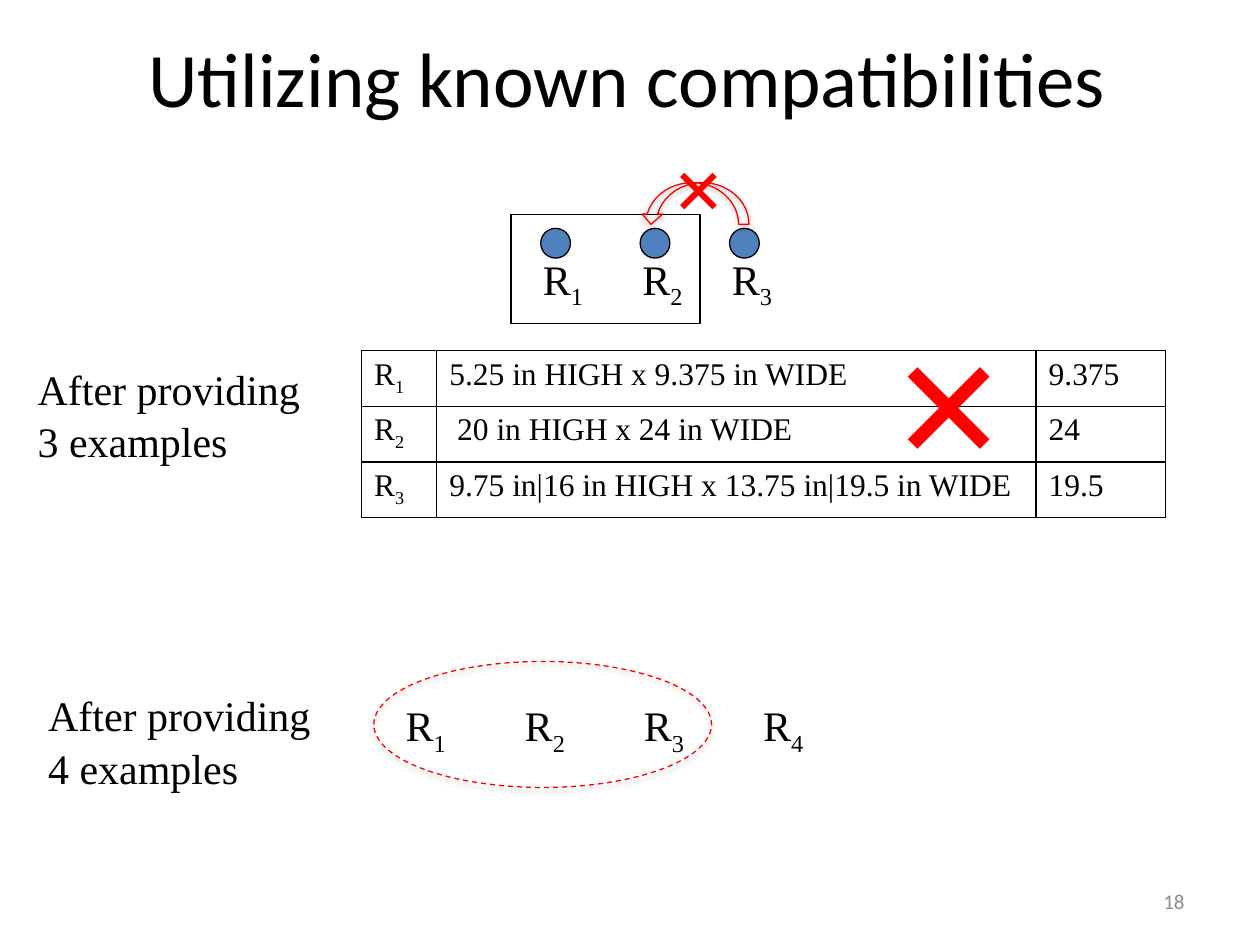
from lxml.etree import SubElement
from pptx import Presentation
from pptx.dml.color import RGBColor
from pptx.enum.dml import MSO_LINE
from pptx.enum.shapes import MSO_SHAPE
from pptx.enum.text import MSO_ANCHOR, PP_ALIGN
from pptx.oxml import parse_xml
from pptx.oxml.ns import nsdecls, qn
from pptx.util import Pt

BLACK = RGBColor(0x00, 0x00, 0x00)
RED = RGBColor(0xFF, 0x00, 0x00)
BLUE = RGBColor(0x4F, 0x81, 0xBD)
GRAY = RGBColor(0x8C, 0x8C, 0x8C)
SERIF = "Times New Roman"
SANS = "Calibri"

EXAMPLES = [
    ("5.25 in HIGH x 9.375 in WIDE", "9.375"),
    (" 20 in HIGH x 24 in WIDE", "24"),
    ("9.75 in|16 in HIGH x 13.75 in|19.5 in WIDE", "19.5"),
]


def add_run(p, text, size, font=SERIF, color=BLACK, subscript=False):
    r = p.add_run()
    r.text = text
    r.font.size = Pt(size)
    r.font.name = font
    r.font.color.rgb = color
    if subscript:
        r.font._element.set("baseline", "-25000")


def add_record(p, number, size):
    add_run(p, "R", size)
    add_run(p, str(number), size, subscript=True)


def add_box(s, x, y, w, h, wrap=True, anchor=MSO_ANCHOR.TOP):
    tf = s.shapes.add_textbox(Pt(x), Pt(y), Pt(w), Pt(h)).text_frame
    tf.word_wrap = wrap
    tf.vertical_anchor = anchor
    return tf


def add_line(s, x, y, w, h, text, size, font, color, align=PP_ALIGN.LEFT,
             anchor=MSO_ANCHOR.TOP):
    p = add_box(s, x, y, w, h, anchor=anchor).paragraphs[0]
    p.alignment = align
    add_run(p, text, size, font, color)


def add_caption(s, x, y, lines):
    tf = add_box(s, x, y, 166.5, 65.5, wrap=False)
    for i, line in enumerate(lines):
        p = tf.add_paragraph() if i else tf.paragraphs[0]
        p.line_spacing = 1.05
        add_run(p, line, 24)


def add_label(s, x, y, number):
    p = add_box(s, x, y, 39, 36, wrap=False).paragraphs[0]
    p.line_spacing = 1.05
    add_record(p, number, 24)


def add_outline(s, kind, x, y, w, h, line, fill=None):
    sp = s.shapes.add_shape(kind, Pt(x), Pt(y), Pt(w), Pt(h))
    sp.shadow.inherit = False
    sp.line.color.rgb = line
    sp.line.width = Pt(0.75)
    if fill is None:
        sp.fill.background()
    else:
        sp.fill.solid()
        sp.fill.fore_color.rgb = fill
    return sp


def add_shadow(sp):
    effects = sp._element.spPr.find(qn("a:effectLst"))
    effects.append(parse_xml(
        f'<a:outerShdw {nsdecls("a")} blurRad="{Pt(3.1)}" dist="{Pt(1.8)}" '
        'dir="5400000" rotWithShape="0"><a:srgbClr val="000000">'
        '<a:alpha val="35000"/></a:srgbClr></a:outerShdw>'))


def style_cell(cell):
    tcPr = cell._tc.get_or_add_tcPr()
    for side in ("a:lnL", "a:lnR", "a:lnT", "a:lnB"):
        ln = SubElement(tcPr, qn(side), w=str(Pt(1)))
        fill = SubElement(ln, qn("a:solidFill"))
        SubElement(fill, qn("a:srgbClr"), val=str(BLACK))
    cell.fill.background()


def add_examples_table(s):
    widths = (43, 342.5, 74)
    row_height = 30
    table = s.shapes.add_table(len(EXAMPLES), len(widths), Pt(206.6), Pt(200.4),
                               Pt(sum(widths)), Pt(row_height * len(EXAMPLES))).table
    table.first_row = False
    table.horz_banding = False
    for column, width in zip(table.columns, widths):
        column.width = Pt(width)
    for i, texts in enumerate(EXAMPLES):
        table.rows[i].height = Pt(row_height)
        add_record(table.cell(i, 0).text_frame.paragraphs[0], i + 1, 18)
        for j, text in enumerate(texts, 1):
            add_run(table.cell(i, j).text_frame.paragraphs[0], text, 18)
    for cell in table.iter_cells():
        style_cell(cell)


def add_three_examples(s):
    add_caption(s, 14.4, 202.5, ("After providing", "3 examples"))
    for number, x in enumerate((309, 365.8, 416.9), 1):
        add_outline(s, MSO_SHAPE.OVAL, x, 130.5, 17, 17, BLACK, BLUE)
        add_label(s, x - 5.8, 139.5, number)
    add_outline(s, MSO_SHAPE.RECTANGLE, 292, 122.4, 108, 62.4, BLACK)
    arrow = add_outline(s, MSO_SHAPE.CURVED_UP_ARROW, 366, 104.4, 62, 23.8, RED)
    arrow.rotation = 180
    add_shadow(arrow)
    add_line(s, 377.3, 82.8, 90.7, 51, "✕", 36, "Arial", RED)


def add_four_examples(s):
    add_caption(s, 20.4, 389, ("After providing", "4 examples"))
    for i in range(4):
        add_label(s, 224.7 + 68.1 * i, 394.6, i + 1)
    group = add_outline(s, MSO_SHAPE.OVAL, 213.6, 378, 193, 72, RED)
    group.line.dash_style = MSO_LINE.DASH
    add_shadow(group)


def main():
    prs = Presentation()
    prs.slide_width = Pt(720)
    prs.slide_height = Pt(540)
    s = prs.slides.add_slide(prs.slide_layouts[6])
    add_line(s, 51, -0.7, 615, 89.3, "Utilizing known compatibilities", 44,
             SANS, BLACK, PP_ALIGN.CENTER, MSO_ANCHOR.MIDDLE)
    add_line(s, 516, 500.5, 168, 28.8, "18", 12, SANS, GRAY,
             PP_ALIGN.RIGHT, MSO_ANCHOR.MIDDLE)
    add_examples_table(s)
    add_line(s, 502, 179.3, 90.7, 104.4, "✕", 80, "Arial", RED)
    add_four_examples(s)
    add_three_examples(s)
    prs.save("out.pptx")


if __name__ == "__main__":
    main()
